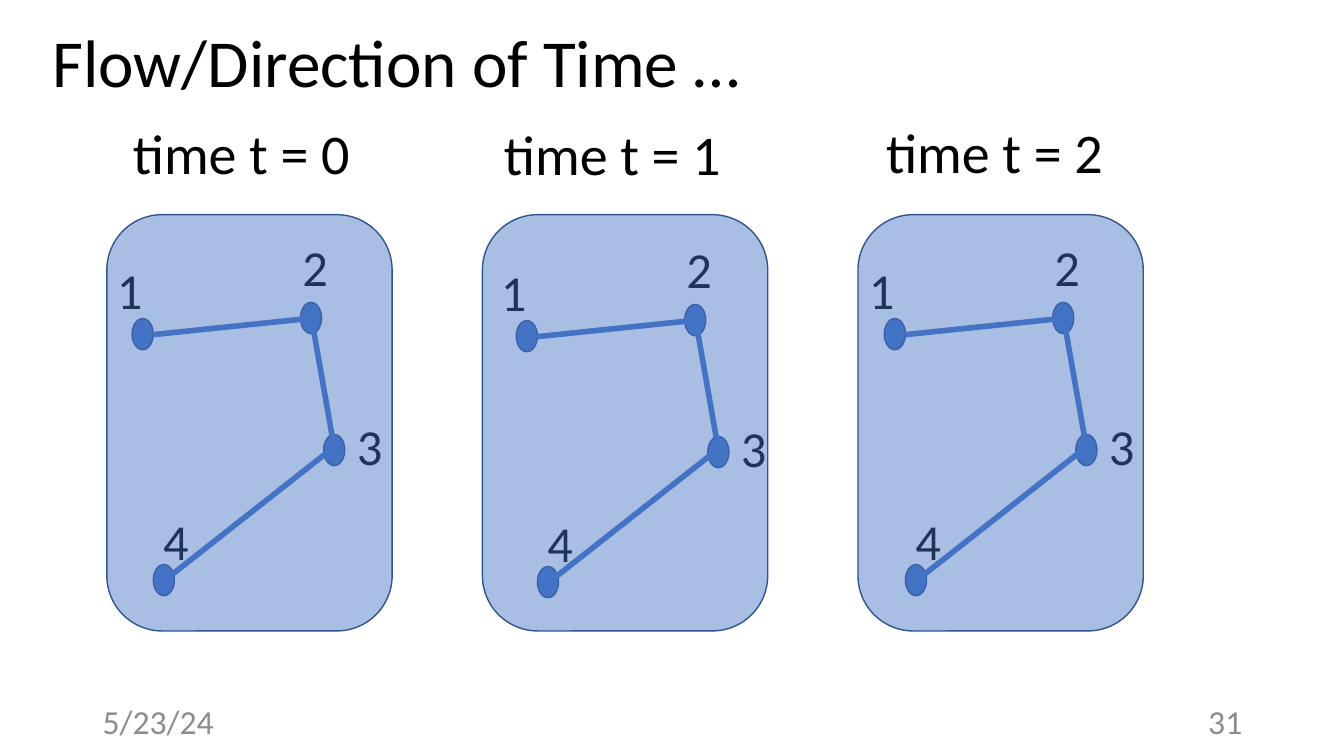
from lxml.etree import SubElement
from pptx import Presentation
from pptx.dml.color import RGBColor
from pptx.enum.shapes import MSO_CONNECTOR, MSO_SHAPE
from pptx.enum.text import MSO_ANCHOR, MSO_AUTO_SIZE, PP_ALIGN
from pptx.oxml.ns import qn
from pptx.util import Inches, Pt

BLUE = RGBColor(0x44, 0x72, 0xC4)
DARK_BLUE = RGBColor(0x32, 0x54, 0x91)
BLACK = RGBColor(0, 0, 0)
GRAY = RGBColor(0x8C, 0x8C, 0x8C)

NODE_POSITIONS = [(1.31, 3.16), (2.98, 3.0), (3.21, 4.31), (1.52, 5.6)]
NODE_LABELS = [("1", 1.06, 2.52), ("2", 2.9, 2.29), ("4", 1.52, 5.01), ("3", 3.44, 4.07)]
EDGES = [
    ((1.52, 3.32), (3.06, 3.16)),
    ((3.09, 3.16), (3.32, 4.47)),
    ((3.32, 4.43), (1.63, 5.76)),
]
# Graph offset (x, y) and heading position (left, top) for each time step
TIME_STEPS = [
    ((0, 0), (1.22, 1.13)),
    ((3.81, 0.02), (4.9, 1.14)),
    ((7.46, 0), (8.69, 1.12)),
]
PANEL_LEFT, PANEL_STEP = 1.06, 3.725


class SlideBuilder:
    font_name = "Calibri"

    def __init__(self, slide):
        self.slide = slide

    def format_text(self, shape, text, size, color=BLACK, align=PP_ALIGN.LEFT,
                    anchor=MSO_ANCHOR.TOP, wrap=False):
        frame = shape.text_frame
        frame.text = text
        frame.word_wrap = wrap
        frame.auto_size = MSO_AUTO_SIZE.NONE if wrap else MSO_AUTO_SIZE.SHAPE_TO_FIT_TEXT
        frame.vertical_anchor = anchor
        paragraph = frame.paragraphs[0]
        paragraph.alignment = align
        paragraph.font.name = self.font_name
        paragraph.font.size = Pt(size)
        paragraph.font.color.rgb = color

    def title(self, text, left, top, width, height):
        title = self.slide.shapes.title
        title.left, title.top = Inches(left), Inches(top)
        title.width, title.height = Inches(width), Inches(height)
        self.format_text(title, text, 48)

    def text(self, shapes, text, left, top, width, height, size, **style):
        box = shapes.add_textbox(Inches(left), Inches(top), Inches(width), Inches(height))
        self.format_text(box, text, size, **style)

    def shape(self, shapes, kind, left, top, width, height):
        shape = shapes.add_shape(kind, Inches(left), Inches(top), Inches(width), Inches(height))
        shape.shadow.inherit = False
        shape.fill.solid()
        shape.fill.fore_color.rgb = BLUE
        shape.line.color.rgb = DARK_BLUE
        shape.line.width = Pt(1)
        return shape

    def edge(self, shapes, start, end):
        connector = shapes.add_connector(
            MSO_CONNECTOR.STRAIGHT, *(Inches(value) for value in start + end))
        connector.line.color.rgb = BLUE
        connector.line.width = Pt(4)
        SubElement(connector._element.spPr, qn("a:effectLst"))

    def graph(self, x, y):
        shapes = self.slide.shapes.add_group_shape().shapes
        for left, top in NODE_POSITIONS:
            self.shape(shapes, MSO_SHAPE.OVAL, left + x, top + y, 0.21, 0.31)
        for label, left, top in NODE_LABELS:
            self.text(shapes, label, left + x, top + y, 0.32, 0.71, 36)
        for start, end in EDGES:
            self.edge(shapes, (start[0] + x, start[1] + y), (end[0] + x, end[1] + y))

    def panel(self, left):
        """Lay a translucent rounded panel over a graph."""
        panel = self.shape(self.slide.shapes, MSO_SHAPE.ROUNDED_RECTANGLE, left, 2.13, 2.83, 4.13)
        panel.adjustments[0] = 0.194
        color = panel._element.spPr.find(qn("a:solidFill")).find(qn("a:srgbClr"))
        SubElement(color, qn("a:alpha"), val="46000")


def main():
    presentation = Presentation()
    presentation.slide_width, presentation.slide_height = Inches(13.33), Inches(7.5)
    slide = presentation.slides.add_slide(presentation.slide_layouts[5])
    builder = SlideBuilder(slide)

    builder.title("Flow/Direction of Time …", 0.42, 0.15, 7.1, 0.91)
    for text, left, align in [("5/23/24", 0.92, PP_ALIGN.LEFT), ("31", 9.42, PP_ALIGN.RIGHT)]:
        builder.text(slide.shapes, text, left, 6.95, 3, 0.4, 24, color=GRAY,
                     align=align, anchor=MSO_ANCHOR.MIDDLE, wrap=True)
    for time, (offset, heading) in enumerate(TIME_STEPS):
        builder.graph(*offset)
        builder.panel(PANEL_LEFT + time * PANEL_STEP)
        builder.text(slide.shapes, f"time t = {time}", *heading, 2.5, 0.77, 40)

    presentation.save("out.pptx")


if __name__ == "__main__":
    main()
